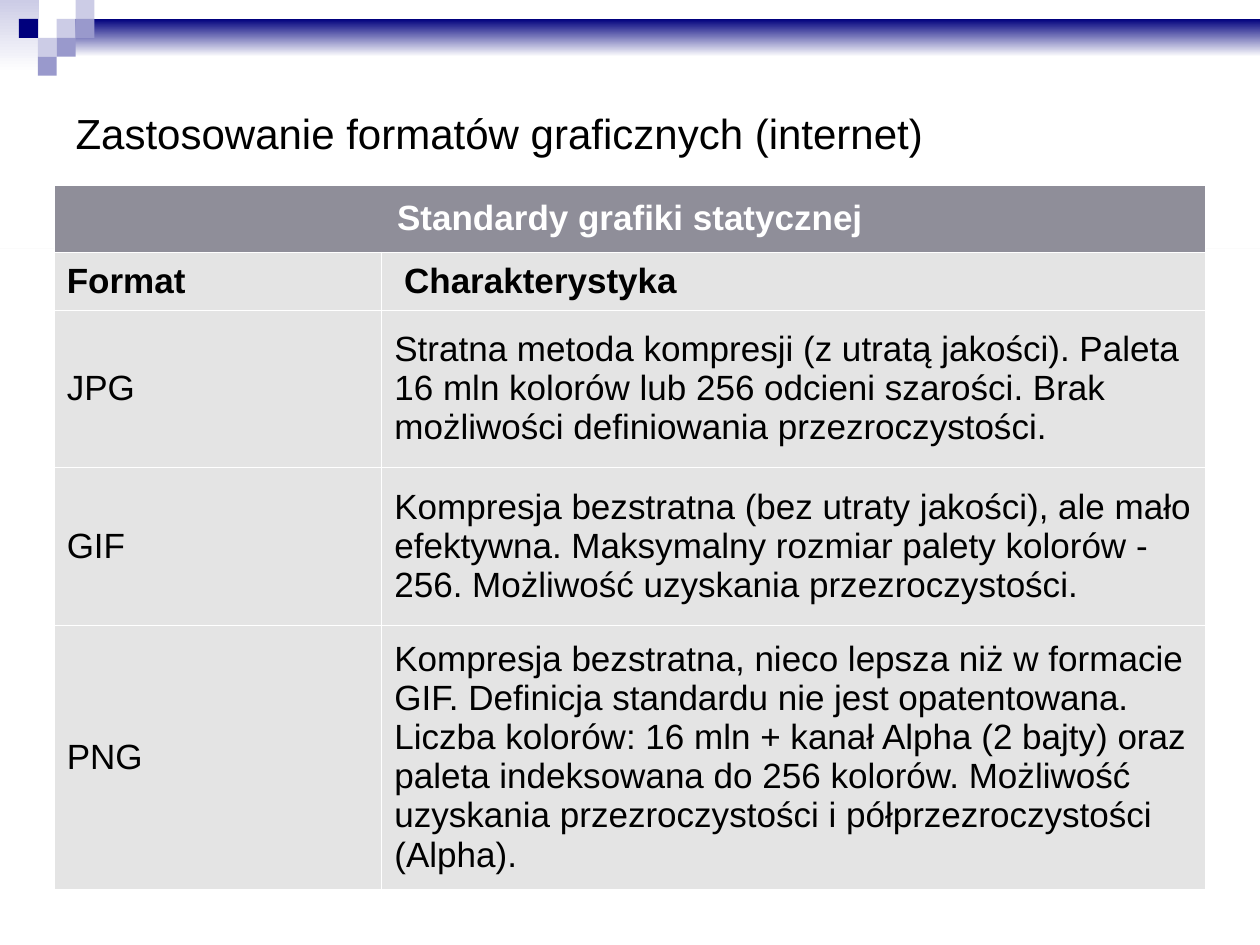
from dataclasses import dataclass
from typing import NamedTuple

from lxml.etree import SubElement
from pptx import Presentation
from pptx.dml.color import RGBColor as Rgb
from pptx.enum.shapes import MSO_SHAPE as Preset
from pptx.enum.text import MSO_ANCHOR as Anchor, PP_ALIGN as Align
from pptx.oxml.ns import qn
from pptx.util import Inches, Pt


@dataclass(frozen=True)
class Theme:
    font: str = "Arial"
    title_size: int = 24
    table_size: int = 20
    border_width: float = 0.45
    ink: str = "000000"
    white: str = "FFFFFF"
    navy: str = "00007D"
    violet: str = "9999CC"
    lilac: str = "CCCCE6"
    header: str = "8F8E99"
    row: str = "E4E4E4"


class Box(NamedTuple):
    left: float
    top: float
    width: float
    height: float

    def lengths(self) -> list:
        return [Inches(value) for value in self]


class Square(NamedTuple):
    column: int
    row: int
    color: str


class FormatRow(NamedTuple):
    name: str
    description: str
    height: float
    bold: bool = False


THEME = Theme()
WIDTH, HEIGHT = 10, 7.5
STEP = 0.15  # side of one square in the corner mosaic
COLUMN_WIDTHS = (2.6, 6.54)
HEADER_HEIGHT = 0.53

MOSAIC = (
    Square(3, 1, THEME.lilac),
    Square(4, 0, THEME.lilac),
    Square(4, 1, THEME.violet),
    Square(2, 2, THEME.lilac),
    Square(1, 1, THEME.navy),
    Square(3, 2, THEME.violet),
    Square(2, 3, THEME.violet),
)

FORMATS = (
    FormatRow("Format", " Charakterystyka", 0.46, bold=True),
    FormatRow("JPG", "Stratna metoda kompresji (z utratą jakości). Paleta 16 mln "
              "kolorów lub 256 odcieni szarości. Brak możliwości definiowania "
              "przezroczystości.", 1.25),
    FormatRow("GIF", "Kompresja bezstratna (bez utraty jakości), ale mało efektywna. "
              "Maksymalny rozmiar palety kolorów - 256. Możliwość uzyskania "
              "przezroczystości.", 1.25),
    FormatRow("PNG", "Kompresja bezstratna, nieco lepsza niż w formacie GIF. Definicja "
              "standardu nie jest opatentowana. Liczba kolorów: 16 mln + kanał Alpha "
              "(2 bajty) oraz paleta indeksowana do 256 kolorów. Możliwość uzyskania "
              "przezroczystości i półprzezroczystości (Alpha).", 2.1),
)


def add_block(slide, box: Box, color: str, fades: bool = False) -> None:
    """Draw a borderless rectangle, plain or fading to white downwards."""
    block = slide.shapes.add_shape(Preset.RECTANGLE, *box.lengths())
    block.shadow.inherit = False
    block.line.fill.background()
    if fades:
        block.fill.gradient()
        block.fill.gradient_angle = 90
        stops = block.fill.gradient_stops
        for stop, position, tone in zip(stops, (0, 1), (THEME.white, color)):
            stop.position = position
            stop.color.rgb = Rgb.from_string(tone)
    else:
        block.fill.solid()
        block.fill.fore_color.rgb = Rgb.from_string(color)


def style_text(frame, size: int, color: str, bold: bool = False,
               align: Align = Align.LEFT) -> None:
    paragraph = frame.paragraphs[0]
    paragraph.alignment = align
    font = paragraph.font
    font.name, font.size, font.bold = THEME.font, Pt(size), bold
    font.color.rgb = Rgb.from_string(color)


def add_borders(cell) -> None:
    """Put borders ahead of the fill, as the cell schema asks."""
    properties = cell._tc.get_or_add_tcPr()
    for index, side in enumerate(("a:lnL", "a:lnR", "a:lnT", "a:lnB")):
        line = SubElement(properties, qn(side), w=str(Pt(THEME.border_width)))
        properties.insert(index, line)
        solid = SubElement(line, qn("a:solidFill"))
        SubElement(solid, qn("a:srgbClr"), val=THEME.white)


def fill_cell(cell, text: str, fill: str, color: str, bold: bool,
              align: Align = Align.LEFT) -> None:
    cell.text = text
    cell.vertical_anchor = Anchor.MIDDLE
    cell.margin_left = cell.margin_right = Inches(0.1)
    cell.margin_top = cell.margin_bottom = Inches(0.05)
    cell.fill.solid()
    cell.fill.fore_color.rgb = Rgb.from_string(fill)
    style_text(cell.text_frame, THEME.table_size, color, bold, align)
    add_borders(cell)


def add_title(slide, text: str) -> None:
    title = slide.shapes.title
    title.left, title.top, title.width, title.height = Box(
        0.05 * WIDTH, 0.5, 0.9 * WIDTH, 1.1).lengths()
    title.text = text
    title.text_frame.vertical_anchor = Anchor.MIDDLE
    style_text(title.text_frame, THEME.title_size, THEME.ink)


def add_formats_table(slide, heading: str) -> None:
    heights = (HEADER_HEIGHT, *(entry.height for entry in FORMATS))
    width = sum(COLUMN_WIDTHS)
    box = Box((WIDTH - width) / 2, 1.47, width, sum(heights))
    table = slide.shapes.add_table(
        len(heights), len(COLUMN_WIDTHS), *box.lengths()).table
    for column, column_width in zip(table.columns, COLUMN_WIDTHS):
        column.width = Inches(column_width)
    for row, height in zip(table.rows, heights):
        row.height = Inches(height)

    # Heading across both columns
    table.cell(0, 0).merge(table.cell(0, 1))
    fill_cell(table.cell(0, 0), heading, THEME.header, THEME.white, True, Align.CENTER)

    # Column names and formats
    for index, entry in enumerate(FORMATS, start=1):
        for column, text in enumerate((entry.name, entry.description)):
            fill_cell(table.cell(index, column), text, THEME.row, THEME.ink, entry.bold)


def main() -> None:
    deck = Presentation()
    deck.slide_width, deck.slide_height = Inches(WIDTH), Inches(HEIGHT)
    slide = deck.slides.add_slide(deck.slide_layouts[5])

    # Fading bands and corner mosaic
    add_block(slide, Box(0, 0, 0.31, 0.58), THEME.lilac, fades=True)
    add_block(slide, Box(3 * STEP, STEP, WIDTH - 3 * STEP, 2 * STEP), THEME.navy, fades=True)
    for square in MOSAIC:
        add_block(slide, Box(square.column * STEP, square.row * STEP, STEP, STEP),
                  square.color)

    # Title, hairline and table
    add_title(slide, "Zastosowanie formatów graficznych (internet)")
    add_block(slide, Box(0, 1.97, WIDTH, 0), THEME.row)
    add_formats_table(slide, "Standardy grafiki statycznej")

    deck.save("out.pptx")


if __name__ == "__main__":
    main()
